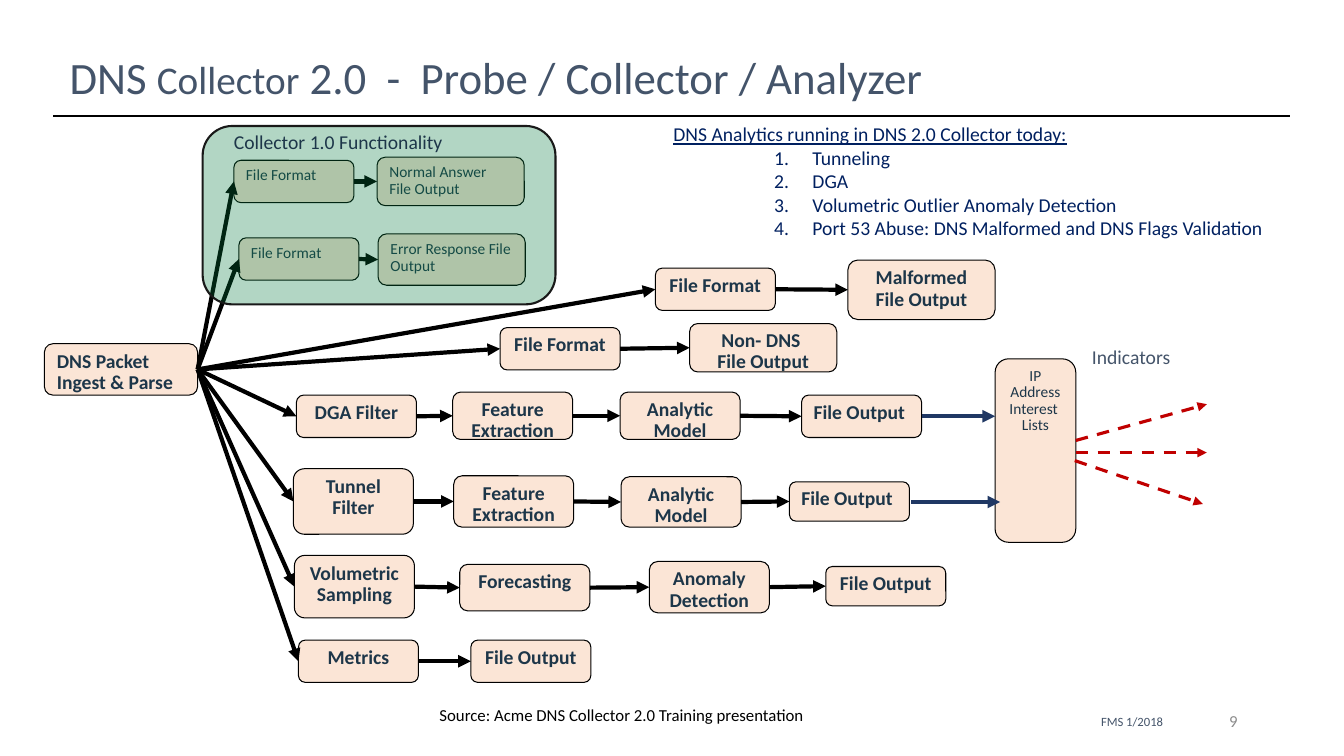
from pptx import Presentation
from pptx import util as u
from pptx.dml import color
from pptx.enum import dml, shapes, text
from pptx.oxml import ns
from lxml import etree

LEFT, CENTER, RIGHT = text.PP_ALIGN.LEFT, text.PP_ALIGN.CENTER, text.PP_ALIGN.RIGHT
INK, SLATE, NAVY, PEACH = "1D3649", "44546A", "002060", "FBE5D6"
BLACK, STEEL, RED = "000000", "203864", "C00000"


def rgb(value):
    return color.RGBColor.from_string(value)


def add_xml(parent, tag, **attributes):
    return etree.SubElement(parent, ns.qn(tag), attributes)


class Canvas:
    font = "Calibri"

    def __init__(self, slide):
        self.slide = slide

    def add_text(self, paragraph, content, size, hue, bold=False, underline=False):
        for index, part in enumerate(content.split("\n")):
            if index:
                paragraph.add_line_break()
            run = paragraph.add_run()
            run.text = part
            run.font.name = self.font
            run.font.size = u.Pt(size)
            run.font.bold = bold
            run.font.underline = underline
            run.font.color.rgb = rgb(hue)

    def title(self, runs, *place):
        shape = self.slide.shapes.title
        shape.left, shape.top, shape.width, shape.height = map(u.Inches, place)
        shape.text_frame.vertical_anchor = text.MSO_ANCHOR.MIDDLE
        paragraph = shape.text_frame.paragraphs[0]
        paragraph.alignment = LEFT
        paragraph.line_spacing = 0.9
        for content, size in runs:
            self.add_text(paragraph, content, size, SLATE)

    def label(self, content, place, size, hue, align=LEFT, inset=True, wrap=True, underline=False):
        shape = self.slide.shapes.add_textbox(*map(u.Inches, place))
        frame = shape.text_frame
        frame.word_wrap = wrap
        if not inset:
            frame.margin_left = frame.margin_right = frame.margin_top = frame.margin_bottom = 0
        frame.paragraphs[0].alignment = align
        self.add_text(frame.paragraphs[0], content, size, hue, underline=underline)
        return frame

    def numbered(self, frame, items, size, hue):
        for item in items:
            paragraph = frame.add_paragraph()
            self.add_text(paragraph, item, size, hue)
            properties = paragraph._p.get_or_add_pPr()
            properties.set("marL", str(u.Inches(1.38)))
            properties.set("indent", str(u.Inches(-0.38)))
            add_xml(properties, "a:buFont", typeface=self.font)
            add_xml(properties, "a:buAutoNum", type="arabicPeriod")

    def panel(self, place, fill, outline, weight, alpha=None):
        shape = self.slide.shapes.add_shape(shapes.MSO_SHAPE.ROUNDED_RECTANGLE, *map(u.Inches, place))
        shape.shadow.inherit = False
        shape.fill.solid()
        shape.fill.fore_color.rgb = rgb(fill)
        shape.line.color.rgb = rgb(outline)
        shape.line.width = u.Pt(weight)
        if alpha:
            hue = shape._element.spPr.find(ns.qn("a:solidFill") + "/" + ns.qn("a:srgbClr"))
            add_xml(hue, "a:alpha", val=str(alpha * 1000))
        return shape

    def box(self, paragraphs, place, size=14, bold=True, align=CENTER):
        shape = self.panel(place, PEACH, BLACK, 0.75)
        frame = shape.text_frame
        frame.word_wrap = True
        frame.vertical_anchor = text.MSO_ANCHOR.TOP
        for index, content in enumerate(paragraphs):
            paragraph = frame.add_paragraph() if index else frame.paragraphs[0]
            paragraph.alignment = align
            paragraph.line_spacing = 0.9
            self.add_text(paragraph, content, size, INK, bold)
        return shape

    def line(self, start, end, hue=BLACK, weight=3, arrow=True, dashed=False):
        connector = self.slide.shapes.add_connector(
            shapes.MSO_CONNECTOR.STRAIGHT, *map(u.Inches, start + end))
        connector.line.color.rgb = rgb(hue)
        connector.line.width = u.Pt(weight)
        if dashed:
            connector.line.dash_style = dml.MSO_LINE.DASH
        if arrow:
            add_xml(connector._element.spPr.find(ns.qn("a:ln")), "a:tailEnd", type="triangle")
        add_xml(connector._element.spPr, "a:effectLst")
        return connector

    def link(self, source, target):
        connector = self.line((0, 0), (1, 1))
        connector.begin_connect(source, 3)
        connector.end_connect(target, 1)

    def flow(self, source, steps, **style):
        for paragraphs, *place in steps:
            target = self.box(paragraphs, place, **style)
            self.link(source, target)
            source = target
        return source


presentation = Presentation()
presentation.slide_width, presentation.slide_height = u.Inches(13.33), u.Inches(7.5)
slide = presentation.slides.add_slide(presentation.slide_layouts[5])
canvas = Canvas(slide)

canvas.title([("DNS ", 32), ("Collector", 28), (" 2.0  -  Probe / Collector / Analyzer", 32)],
             0.59, 0.07, 11.5, 1.45)
canvas.line((0.53, 1.15), (12.79, 1.15), weight=1.5, arrow=False)
canvas.label("FMS 1/2018", (10.92, 7.08, 1.11, 0.16), 9, SLATE, inset=False)
page = canvas.label("9 ", (9.41, 6.95, 3, 0.4), 12, "8C8C8C", RIGHT)
page.vertical_anchor = text.MSO_ANCHOR.MIDDLE

ingest = canvas.box(["DNS Packet Ingest & Parse"], (0.44, 3.41, 1.52, 0.51), align=LEFT)

STEP = 1.19
collector_flows = [
    [(["File Format"], 2.32, 1.59, STEP, 0.42), (["Normal Answer File Output"], 3.74, 1.56, 1.46, 0.48)],
    [(["File Format"], 2.37, 2.36, STEP, 0.42), (["Error Response File Output"], 3.75, 2.32, 1.46, 0.51)],
]
for steps in collector_flows:
    canvas.flow(ingest, steps, size=11, bold=False, align=LEFT)
canvas.panel((2.01, 1.25, 3.5, 1.77), "007A3E", "191919", 1.5, alpha=30)
canvas.label("Collector 1.0 Functionality", (2.32, 1.29, 2.3, 0.24), 14, INK, inset=False, wrap=False)

output_flows = [
    [(["File Format"], 6.5, 2.66, STEP, 0.42), (["Malformed\nFile Output"], 8.41, 2.58, 1.46, 0.59)],
    [(["File Format"], 4.96, 3.25, STEP, 0.42), (["Non- DNS \nFile Output"], 6.84, 3.21, 1.46, 0.48)],
    [(["Volumetric", "Sampling"], 2.92, 5.51, STEP, 0.62), (["Forecasting"], 4.56, 5.6, 1.29, 0.46),
     (["Anomaly Detection"], 6.44, 5.57, STEP, 0.51), (["File Output"], 8.19, 5.62, STEP, 0.39)],
    [(["Metrics"], 2.96, 6.35, STEP, 0.42), (["File Output"], 4.67, 6.35, STEP, 0.42)],
]
for steps in output_flows:
    canvas.flow(ingest, steps)

canvas.box(["IP Address", "Interest ", "Lists"], (9.87, 3.56, 0.8, 1.82), size=11, bold=False)

analytic_flows = [
    [(["DGA Filter"], 2.94, 3.92, STEP, 0.42), (["Feature\nExtraction"], 4.49, 3.89, STEP, 0.47),
     (["Analytic Model"], 6.15, 3.89, STEP, 0.47), (["File Output"], 7.95, 3.92, STEP, 0.42)],
    [(["Tunnel Filter"], 2.91, 4.65, STEP, 0.65), (["Feature\nExtraction"], 4.5, 4.72, STEP, 0.51),
     (["Analytic Model"], 6.16, 4.73, STEP, 0.5), (["File Output"], 7.83, 4.78, STEP, 0.39)],
]
for steps in analytic_flows:
    file_output = canvas.flow(ingest, steps)
    file_output.text_frame.paragraphs[0].alignment = LEFT
for start, end, y in [(9.14, 9.87, 4.13), (9.04, 9.92, 4.98)]:
    canvas.line((start, y), (end, y), STEEL)

canvas.label("Indicators ", (10.83, 3.42, 1.56, 0.35), 14, SLATE, inset=False)
for start, end in [((10.66, 4.57), (11.93, 5)), ((10.67, 4.49), (11.97, 4.49)), ((10.67, 4.37), (11.97, 4.01))]:
    canvas.line(start, end, RED, 2.25, dashed=True)

analytics = canvas.label("DNS Analytics running in DNS 2.0 Collector today:",
                         (6.58, 1.16, 6.66, 1.28), 14, NAVY, underline=True)
canvas.numbered(analytics, ["Tunneling", "DGA", "Volumetric Outlier Anomaly Detection",
                            "Port 53 Abuse: DNS Malformed and DNS Flags Validation"], 14, NAVY)
canvas.label("Source: Acme DNS Collector 2.0 Training presentation", (4.26, 6.94, 7.04, 0.3), 12, BLACK)

presentation.save("out.pptx")
